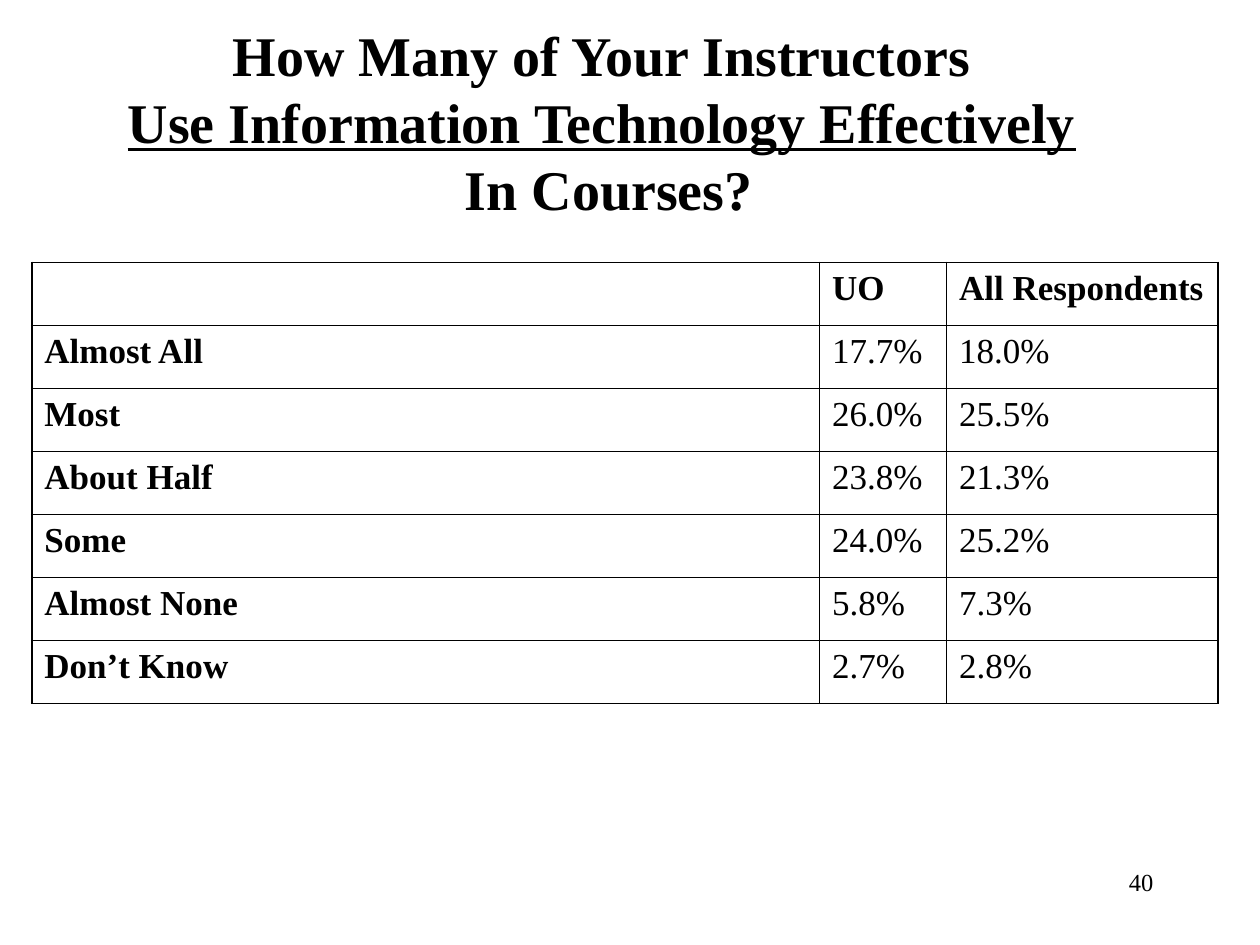
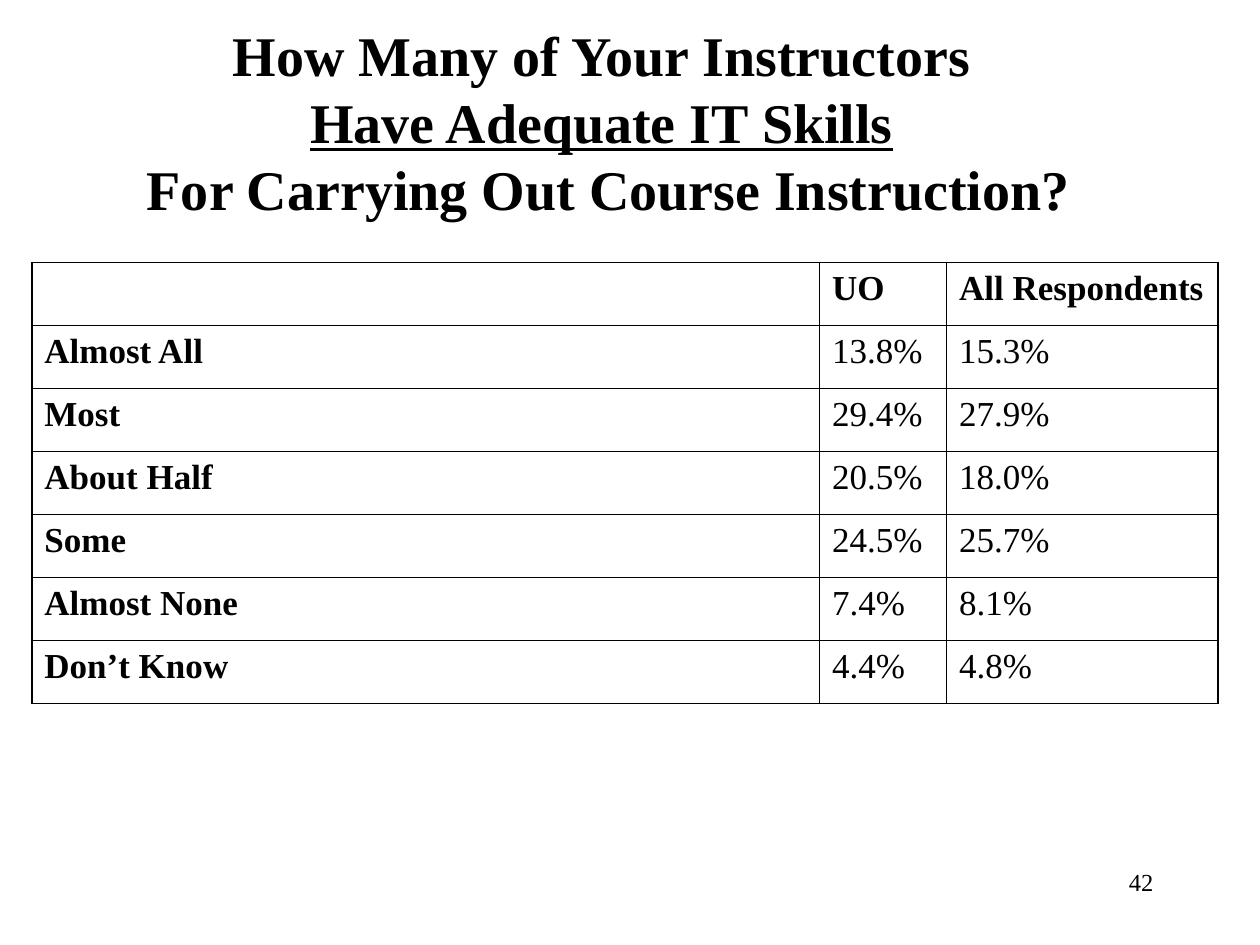
from lxml import etree
from pptx import Presentation
from pptx.dml.color import RGBColor
from pptx.enum.text import MSO_ANCHOR, PP_ALIGN
from pptx.oxml.ns import qn
from pptx.util import Cm, Pt

CENTER, RIGHT = PP_ALIGN.CENTER, PP_ALIGN.RIGHT
TOP, MIDDLE = MSO_ANCHOR.TOP, MSO_ANCHOR.MIDDLE
FONT, BLACK = "Times New Roman", "000000"
OUTER_LINE, INNER_LINE = 1.08, 0.45
COLUMN_WIDTHS = (15.88, 2.56, 5.48)
ROW_HEIGHT = 1.27
HEADINGS = ("", "UO", "All Respondents")
ANSWERS = ("Almost All", "Most", "About Half", "Some", "Almost None", "Don’t Know")

SURVEY_PAGES = [
    {
        "number": 40,
        "topic": "Use Information Technology Effectively",
        "ending": "In Courses?",
        "uo": ("17.7%", "26.0%", "23.8%", "24.0%", "5.8%", "2.7%"),
        "everyone": ("18.0%", "25.5%", "21.3%", "25.2%", "7.3%", "2.8%"),
    },
    {
        "number": 42,
        "topic": "Have Adequate IT Skills",
        "ending": "For Carrying Out Course Instruction?",
        "uo": ("13.8%", "29.4%", "20.5%", "24.5%", "7.4%", "4.4%"),
        "everyone": ("15.3%", "27.9%", "18.0%", "25.7%", "8.1%", "4.8%"),
    },
]


def color(hex_code):
    """Turn a hex string into a colour."""
    return RGBColor.from_string(hex_code)


class SurveyDeck:
    """Hold the shared style and the current page."""

    def __init__(self):
        """Start an empty deck."""
        self.deck = Presentation()
        self.deck.slide_width, self.deck.slide_height = Cm(25.4), Cm(19.05)
        self.page = None

    def add_page(self):
        """Start a new blank page."""
        self.page = self.deck.slides.add_slide(self.deck.slide_layouts[6])

    def style(self, span, size, bold=False, underline=False):
        """Format one run of text."""
        font = span.font
        font.name, font.size = FONT, Pt(size)
        font.bold, font.underline = bold, underline
        font.color.rgb = color(BLACK)

    def add_box(self, left, top, width, height, align, anchor):
        """Add a wrapping text box and return its first paragraph."""
        box = self.page.shapes.add_textbox(Cm(left), Cm(top), Cm(width), Cm(height))
        box.text_frame.word_wrap = True
        box.text_frame.vertical_anchor = anchor
        para = box.text_frame.paragraphs[0]
        para.alignment = align
        return para

    def add_title(self, topic, ending):
        """Add the three-line question with its topic underlined."""
        para = self.add_box(0, 0.64, 24.55, 3.6, CENTER, MIDDLE)
        para.line_spacing = Pt(38.5)
        lines = (("How Many of Your Instructors", " "), (topic, " "), (ending,))
        for index, pieces in enumerate(lines):
            if index:
                para.add_line_break()
            for piece in pieces:
                span = para.add_run()
                span.text = piece
                self.style(span, 32, bold=True, underline=piece == topic)

    def add_number(self, number):
        """Add the page number."""
        para = self.add_box(18.2, 17.36, 5.3, 1.27, RIGHT, TOP)
        para.text = str(number)
        self.style(para.runs[0], 14)

    def add_border(self, cell, side, width):
        """Draw one side of a cell."""
        line = etree.SubElement(cell._tc.get_or_add_tcPr(), qn(f"a:ln{side}"), w=str(Pt(width)))
        fill = etree.SubElement(line, qn("a:solidFill"))
        etree.SubElement(fill, qn("a:srgbClr"), val=BLACK)

    def add_table(self, rows):
        """Add the ruled answer table with bold headings and labels."""
        last_row, last_column = len(rows) - 1, len(COLUMN_WIDTHS) - 1
        table = self.page.shapes.add_table(
            len(rows), len(COLUMN_WIDTHS), Cm(0.64), Cm(5.29),
            Cm(sum(COLUMN_WIDTHS)), Cm(ROW_HEIGHT * len(rows))).table
        table.first_row = table.horz_banding = False
        for column, width in zip(table.columns, COLUMN_WIDTHS):
            column.width = Cm(width)
        for r, values in enumerate(rows):
            table.rows[r].height = Cm(ROW_HEIGHT)
            for c, value in enumerate(values):
                cell = table.cell(r, c)
                on_edge = {"L": c == 0, "R": c == last_column, "T": r == 0, "B": r == last_row}
                for side, is_outer in on_edge.items():
                    self.add_border(cell, side, OUTER_LINE if is_outer else INNER_LINE)
                cell.fill.background()
                cell.text_frame.text = value
                for span in cell.text_frame.paragraphs[0].runs:
                    self.style(span, 20, bold=r == 0 or c == 0)


def main():
    """Build and save the survey pages."""
    survey = SurveyDeck()
    for content in SURVEY_PAGES:
        survey.add_page()
        survey.add_title(content["topic"], content["ending"])
        survey.add_table([HEADINGS, *zip(ANSWERS, content["uo"], content["everyone"])])
        survey.add_number(content["number"])
    survey.deck.save("out.pptx")


if __name__ == "__main__":
    main()
